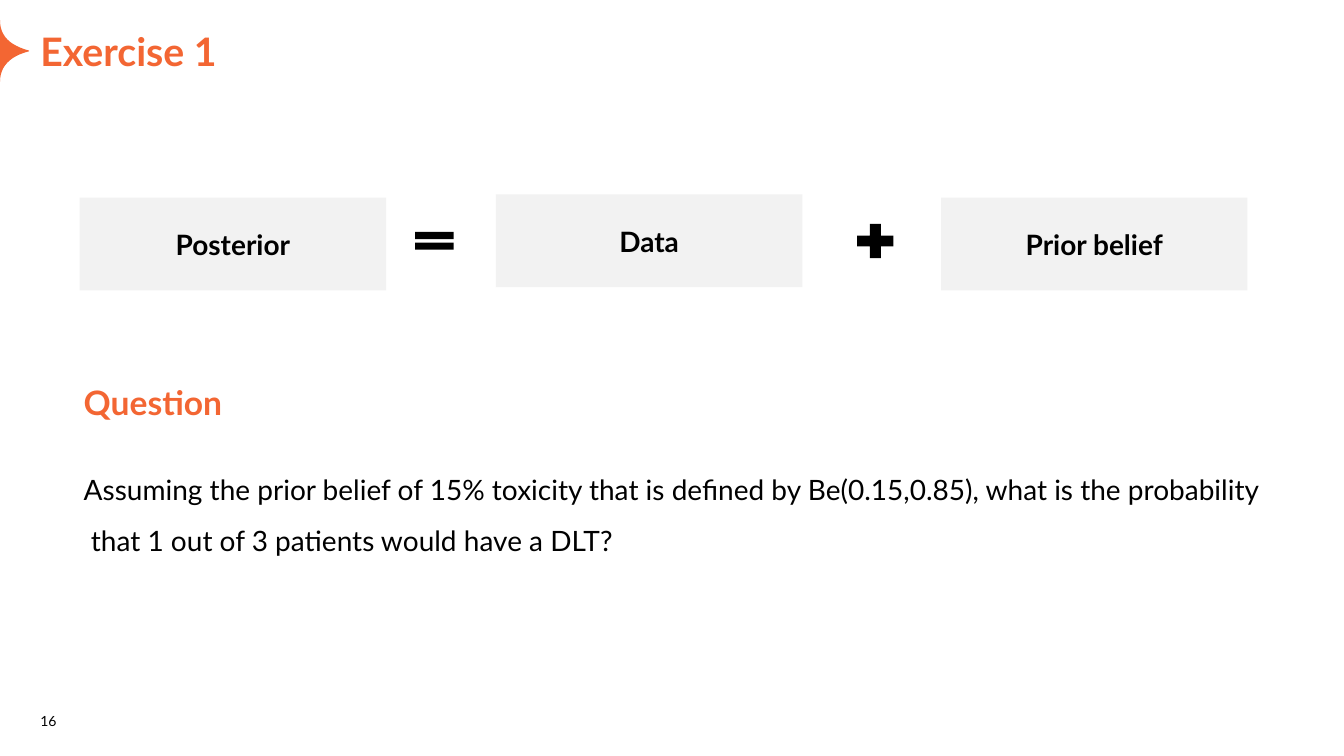
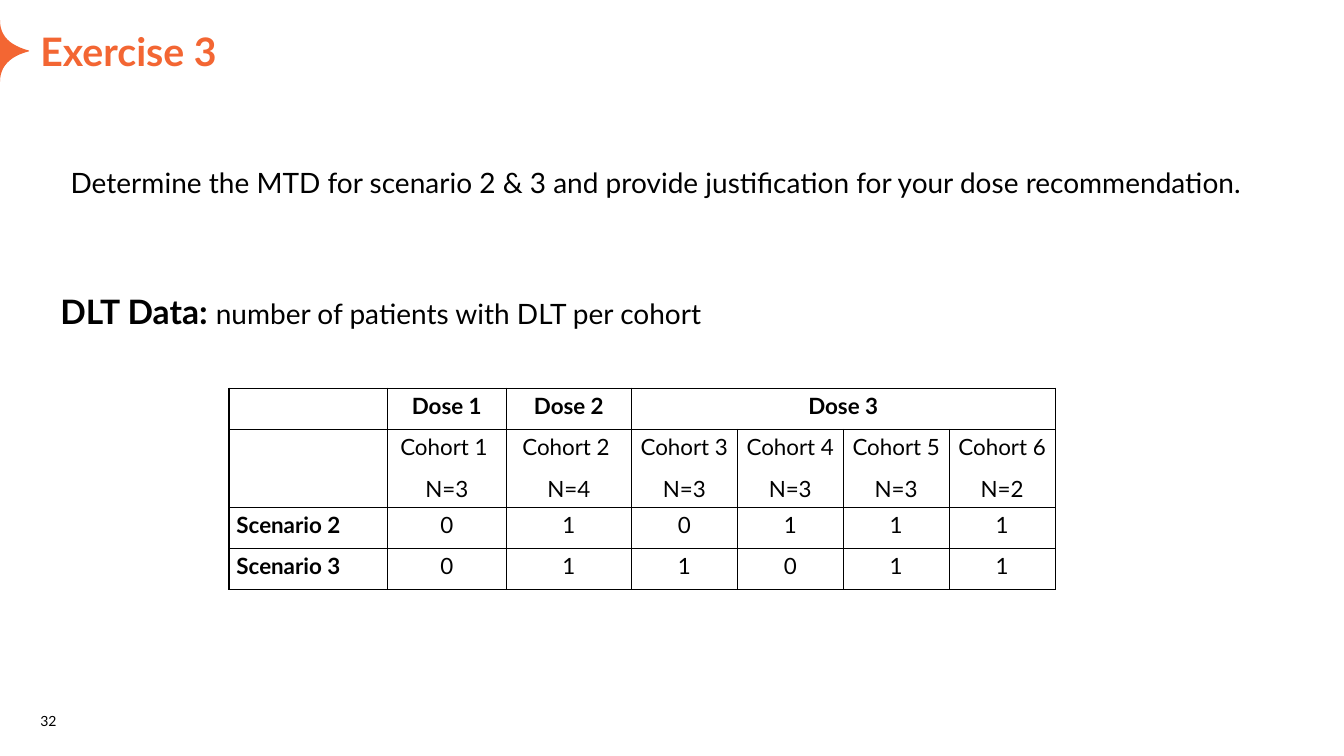
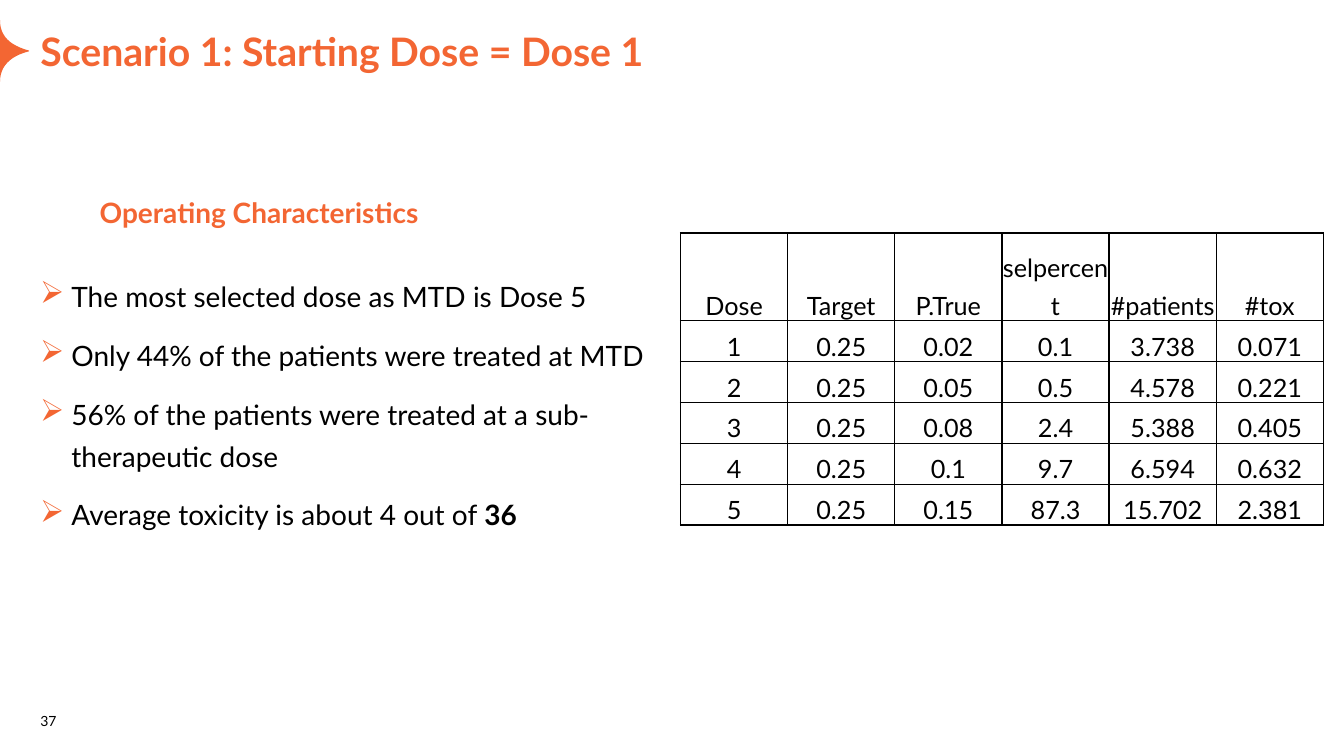
from dataclasses import dataclass

from lxml import etree
from pptx import Presentation
from pptx.dml.color import RGBColor
from pptx.enum.shapes import MSO_SHAPE
from pptx.enum.text import MSO_ANCHOR, PP_ALIGN
from pptx.oxml.ns import qn
from pptx.shapes.autoshape import Shape
from pptx.slide import Slide
from pptx.table import _Cell
from pptx.text.text import TextFrame, _Paragraph
from pptx.util import Cm, Pt

RECTANGLE = MSO_SHAPE.RECTANGLE
EQUAL_SIGN = MSO_SHAPE.MATH_EQUAL
PLUS_SIGN = MSO_SHAPE.MATH_PLUS
TOP, MIDDLE, BOTTOM = MSO_ANCHOR.TOP, MSO_ANCHOR.MIDDLE, MSO_ANCHOR.BOTTOM
LEFT, CENTER = PP_ALIGN.LEFT, PP_ALIGN.CENTER

FONT = "Lato"
ORANGE, BLACK, WHITE, GRAY = "F36633", "000000", "FFFFFF", "F2F2F2"
INSET = 0.1
HANGING = 0.79

STAR_START = (0, 0.51)
STAR_CURVES = (
    ((0, 0.91), (0.25, 1.14), (0.71, 1.27)),
    ((0.74, 1.27), (0.74, 1.3), (0.71, 1.3)),
    ((0.25, 1.42), (0, 1.68), (0, 2.06)),
)
CURVE_STEPS = 12


@dataclass(frozen=True)
class Box:
    left: float
    top: float
    width: float
    height: float

    def emu(self) -> tuple[Cm, Cm, Cm, Cm]:
        return Cm(self.left), Cm(self.top), Cm(self.width), Cm(self.height)


@dataclass(frozen=True)
class Term:
    label: str
    box: Box


@dataclass(frozen=True)
class Sign:
    preset: MSO_SHAPE
    box: Box


@dataclass(frozen=True)
class CellStyle:
    size: float
    line: float
    after: float
    anchor: MSO_ANCHOR
    side_margin: float
    top_margin: float


TITLE_BOX = Box(1.02, 0.69, 31.83, 1.19)
NUMBER_BOX = Box(1.02, 17.63, 1.5, 0.76)

TERMS = (
    Term("Posterior", Box(2.01, 4.98, 7.72, 2.34)),
    Term("Data", Box(12.5, 4.9, 7.72, 2.34)),
    Term("Prior belief", Box(23.72, 4.98, 7.72, 2.34)),
)
SIGNS = (
    Sign(EQUAL_SIGN, Box(10.29, 5.69, 1.32, 0.76)),
    Sign(PLUS_SIGN, Box(21.44, 5.49, 1.24, 1.17)),
)

COHORT_STYLE = CellStyle(16, 1.15, 8, TOP, 0.19, 0)
COHORT_ROWS = (
    ("", "Dose 1", "Dose 2", "Dose 3", "", "", ""),
    ("", "Cohort 1 \nN=3", "Cohort 2 \nN=4", "Cohort 3 \nN=3",
     "Cohort 4 \nN=3", "Cohort 5 \nN=3", "Cohort 6\nN=2"),
    ("Scenario 2", "0", "1", "0", "1", "1", "1"),
    ("Scenario 3", "0", "1", "1", "0", "1", "1"),
)

OUTCOME_STYLE = CellStyle(18, 1.25, 6, BOTTOM, 0.02, 0.02)
OUTCOME_ROWS = (
    ("Dose", "Target", "P.True", "selpercent", "#patients", "#tox"),
    ("1", "0.25", "0.02", "0.1", "3.738", "0.071"),
    ("2", "0.25", "0.05", "0.5", "4.578", "0.221"),
    ("3", "0.25", "0.08", "2.4", "5.388", "0.405"),
    ("4", "0.25", "0.1", "9.7", "6.594", "0.632"),
    ("5", "0.25", "0.15", "87.3", "15.702", "2.381"),
)

FINDINGS = (
    ("The most selected dose as MTD is Dose 5", ""),
    ("Only 44% of the patients were treated at MTD", ""),
    ("56% of the patients were treated at a sub-therapeutic dose", ""),
    ("Average toxicity is about 4 out of ", "36"),
)


def rgb(color: str) -> RGBColor:
    return RGBColor.from_string(color)


def add_run(paragraph: _Paragraph, text: str, *, size: float = 20,
            bold: bool = False, color: str = BLACK) -> None:
    run = paragraph.add_run()
    run.text = text
    run.font.name = FONT
    run.font.size = Pt(size)
    run.font.bold = bold
    run.font.color.rgb = rgb(color)


def add_bullet(paragraph: _Paragraph) -> None:
    properties = paragraph._p.get_or_add_pPr()
    properties.set("marL", str(Cm(HANGING)))
    properties.set("indent", str(-Cm(HANGING)))
    bullet_color = etree.SubElement(properties, qn("a:buClr"))
    etree.SubElement(bullet_color, qn("a:srgbClr"), val=ORANGE)
    etree.SubElement(properties, qn("a:buSzPct"), val="110000")
    etree.SubElement(properties, qn("a:buChar"), char="➢")


def write(frame: TextFrame, text: str, *, size: float = 20, bold: bool = False,
          color: str = BLACK, align: PP_ALIGN = LEFT, line: float = 1.0,
          before: float = 0, after: float = 0,
          bullet: bool = False) -> _Paragraph:
    first = frame.paragraphs[0]
    paragraph = frame.add_paragraph() if first.runs else first
    if bullet:
        add_bullet(paragraph)
    paragraph.alignment = align
    paragraph.line_spacing = line
    paragraph.space_before = Pt(before)
    paragraph.space_after = Pt(after)
    add_run(paragraph, text, size=size, bold=bold, color=color)
    return paragraph


def prepare_frame(frame: TextFrame, inset: float, anchor: MSO_ANCHOR) -> None:
    frame.word_wrap = True
    frame.vertical_anchor = anchor
    frame.margin_left = frame.margin_right = Cm(inset)
    frame.margin_top = frame.margin_bottom = Cm(inset)


def add_text(slide: Slide, box: Box, inset: float = INSET,
             anchor: MSO_ANCHOR = TOP) -> TextFrame:
    frame = slide.shapes.add_textbox(*box.emu()).text_frame
    prepare_frame(frame, inset, anchor)
    return frame


def paint(shape: Shape, color: str) -> None:
    shape.shadow.inherit = False
    shape.fill.solid()
    shape.fill.fore_color.rgb = rgb(color)
    shape.line.fill.background()


def add_preset(slide: Slide, preset: MSO_SHAPE, box: Box, color: str) -> Shape:
    shape = slide.shapes.add_shape(preset, *box.emu())
    paint(shape, color)
    return shape


def star_outline() -> list[tuple[Cm, Cm]]:
    outline = []
    start = STAR_START
    for first, second, end in STAR_CURVES:
        for step in range(1, CURVE_STEPS + 1):
            t = step / CURVE_STEPS
            weights = ((1 - t) ** 3, 3 * t * (1 - t) ** 2,
                       3 * t ** 2 * (1 - t), t ** 3)
            controls = (start, first, second, end)
            x, y = (sum(w * point[axis] for w, point in zip(weights, controls))
                    for axis in (0, 1))
            outline.append((Cm(x), Cm(y)))
        start = end
    return outline


def add_star(slide: Slide) -> None:
    x, y = STAR_START
    builder = slide.shapes.build_freeform(Cm(x), Cm(y))
    builder.add_line_segments(star_outline(), close=True)
    paint(builder.convert_to_shape(), ORANGE)


def add_slide(deck: Presentation, title: str, number: str) -> Slide:
    slide = deck.slides.add_slide(deck.slide_layouts[6])
    slide.background.fill.solid()
    slide.background.fill.fore_color.rgb = rgb(WHITE)
    add_star(slide)
    write(add_text(slide, NUMBER_BOX, 0, BOTTOM), number, size=10)
    write(add_text(slide, TITLE_BOX, 0, BOTTOM), title,
          size=28, bold=True, color=ORANGE)
    return slide


def add_borders(cell: _Cell) -> None:
    properties = cell._tc.get_or_add_tcPr()
    for side in ("lnL", "lnR", "lnT", "lnB"):
        border = etree.SubElement(properties, qn(f"a:{side}"), w=str(Pt(1)))
        fill = etree.SubElement(border, qn("a:solidFill"))
        etree.SubElement(fill, qn("a:srgbClr"), val=BLACK)


def fill_cell(cell: _Cell, text: str, style: CellStyle, bold: bool,
              align: PP_ALIGN) -> None:
    add_borders(cell)
    cell.fill.solid()
    cell.fill.fore_color.rgb = rgb(WHITE)
    cell.vertical_anchor = style.anchor
    cell.margin_left = cell.margin_right = Cm(style.side_margin)
    cell.margin_top, cell.margin_bottom = Cm(style.top_margin), 0
    for part in text.split("\n"):
        write(cell.text_frame, part, size=style.size, bold=bold, align=align,
              line=style.line, after=style.after)


def add_grid(slide: Slide, left: float, top: float, widths: list[float],
             heights: list[float], rows: tuple[tuple[str, ...], ...],
             style: CellStyle, headed: bool = False) -> None:
    box = Box(left, top, sum(widths), sum(heights))
    table = slide.shapes.add_table(len(rows), len(widths), *box.emu()).table
    table.first_row = table.horz_banding = False
    for column, width in zip(table.columns, widths):
        column.width = Cm(width)
    for row, height in zip(table.rows, heights):
        row.height = Cm(height)
    for r, texts in enumerate(rows):
        for c, text in enumerate(texts):
            bold = headed and (r == 0 or c == 0)
            align = LEFT if headed and c == 0 else CENTER
            fill_cell(table.cell(r, c), text, style, bold, align)
    if headed:
        table.cell(0, 3).merge(table.cell(0, 6))


def build_prior_exercise(deck: Presentation) -> None:
    slide = add_slide(deck, "Exercise 1", "16")
    for term in TERMS:
        card = add_preset(slide, RECTANGLE, term.box, GRAY)
        prepare_frame(card.text_frame, INSET, MIDDLE)
        write(card.text_frame, term.label, bold=True, align=CENTER, after=3)
    for sign in SIGNS:
        add_preset(slide, sign.preset, sign.box, BLACK)
    question = add_text(slide, Box(2.01, 9.53, 29.87, 6.35))
    write(question, "Question", size=24, bold=True, color=ORANGE, after=3)
    write(question,
          "Assuming the prior belief of 15% toxicity that is defined by "
          "Be(0.15,0.85), what is the probability "
          " that 1 out of 3 patients would have a DLT?",
          line=1.5, before=21, after=3)


def build_dose_exercise(deck: Presentation) -> None:
    slide = add_slide(deck, "Exercise 3", "32")
    write(add_text(slide, Box(1.68, 3.86, 30.45, 2.39)),
          "Determine the MTD for scenario 2 & 3 and provide justification "
          "for your dose recommendation.", line=1.25, after=3)
    add_grid(slide, 5.77, 9.78, [3.99, 3, 3.15] + [2.67] * 4,
             [1.04, 1.96, 1.04, 1.04], COHORT_ROWS, COHORT_STYLE, headed=True)
    caption = write(add_text(slide, Box(1.42, 7.24, 19.79, 1.07)),
                    "DLT Data: ", size=24, bold=True, after=3)
    add_run(caption, "number of patients with DLT per cohort")


def build_scenario(deck: Presentation) -> None:
    slide = add_slide(deck, "Scenario 1: Starting Dose = Dose 1", "37")
    add_grid(slide, 17.15, 5.87, [2.7] * 6, [2.21] + [1.03] * 5,
             OUTCOME_ROWS, OUTCOME_STYLE)
    write(add_text(slide, Box(1.02, 4.83, 11.02, 1.27)),
          "Operating Characteristics", bold=True, color=ORANGE,
          align=CENTER, after=3)
    findings = add_text(slide, Box(0.91, 6.73, 15.52, 6.86))
    for index, (text, emphasis) in enumerate(FINDINGS):
        finding = write(findings, text, line=1.25, before=6 if index else 0,
                        after=6, bullet=True)
        if emphasis:
            add_run(finding, emphasis, bold=True)


def main() -> None:
    deck = Presentation()
    deck.slide_width, deck.slide_height = Cm(33.87), Cm(19.05)
    build_prior_exercise(deck)
    build_dose_exercise(deck)
    build_scenario(deck)
    deck.save("out.pptx")


if __name__ == "__main__":
    main()
